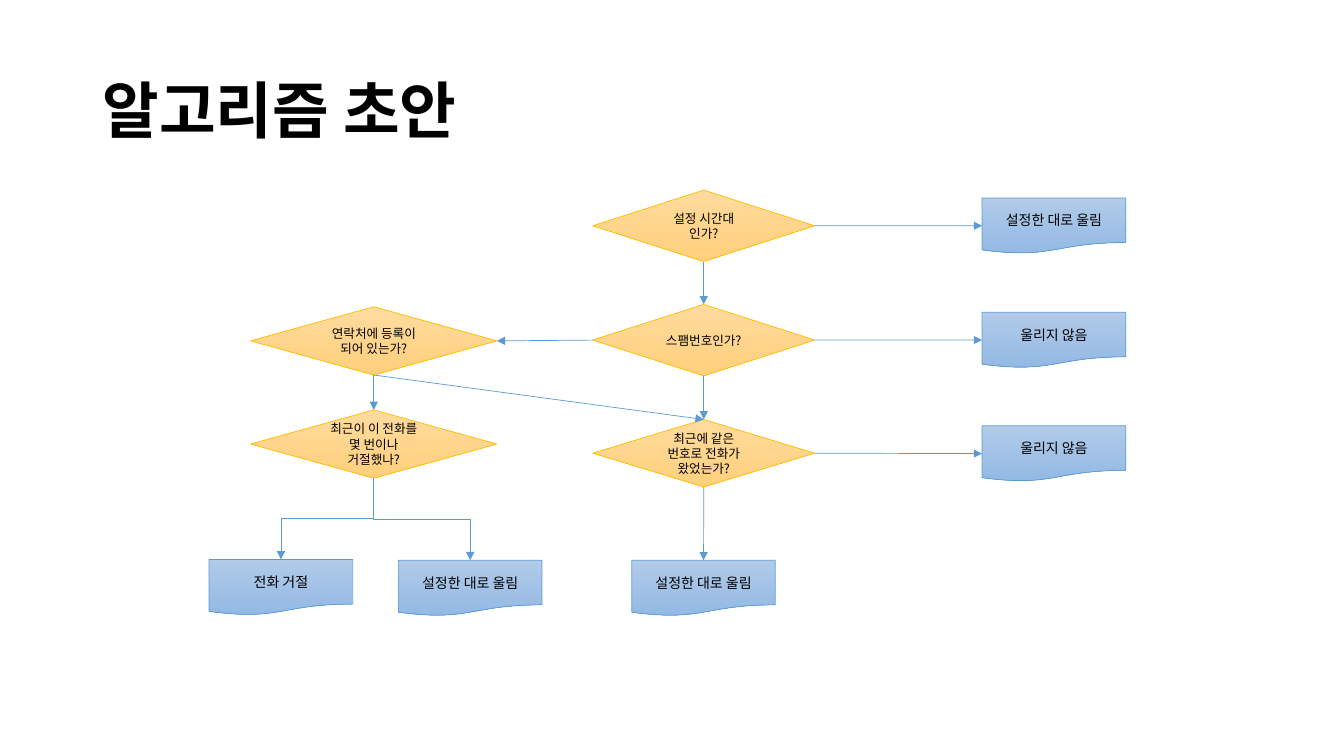
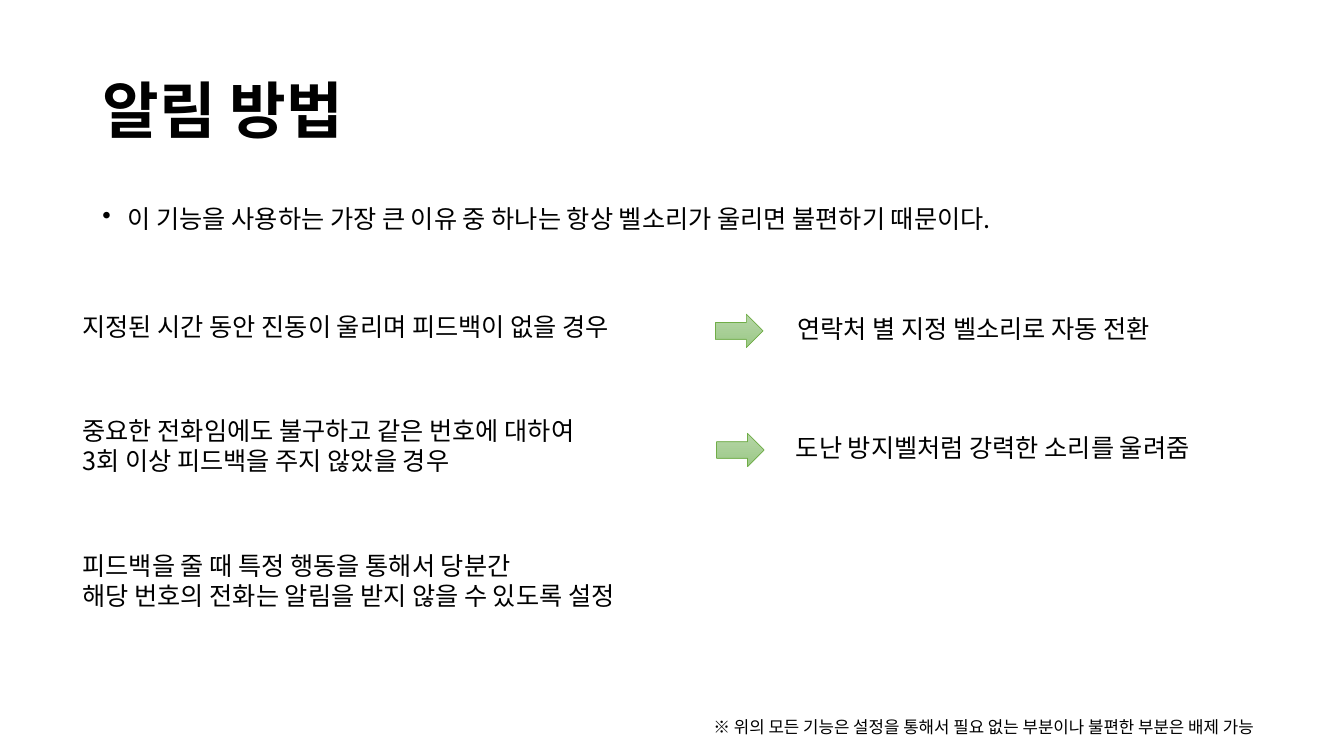
"""Build a call-screening flowchart slide and a notification-method slide."""
from lxml.etree import SubElement
from pptx import Presentation
from pptx.dml.color import RGBColor
from pptx.enum.shapes import MSO_CONNECTOR as Line, MSO_SHAPE as Preset
from pptx.enum.text import MSO_ANCHOR as Anchor, MSO_AUTO_SIZE as AutoSize, PP_ALIGN as Align
from pptx.oxml.ns import qn
from pptx.util import Cm, Pt

FONT = "Noto Sans CJK KR"
COLORS = {
    "text": "000000",
    "decision top": "FFDB9E", "decision bottom": "FFD07C", "decision line": "FFC000",
    "result top": "B1CBE9", "result bottom": "93B9E4", "result line": "5B9BD5",
    "arrow top": "B5D5A7", "arrow bottom": "9CC987", "arrow line": "70AD47",
}
RGB = {name: RGBColor.from_string(value) for name, value in COLORS.items()}
TOP, LEFT, BOTTOM, RIGHT = range(4)


def write(frame, text, size, align=Align.LEFT, bold=False):
    """Fill a text frame, one paragraph a line, in the shared font."""
    frame.text = text
    frame.word_wrap = True
    for paragraph in frame.paragraphs:
        paragraph.alignment = align
        font = paragraph.font
        font.name, font.size, font.bold = FONT, Pt(size), bold
        font.color.rgb = RGB["text"]
        properties = paragraph._p.pPr.find(qn("a:defRPr"))
        SubElement(properties, qn("a:ea"), typeface=FONT)


def add_block(slide, preset, role, left, top, width, height):
    """Add a preset shape with the vertical gradient and outline of its role."""
    shape = slide.shapes.add_shape(preset, Cm(left), Cm(top), Cm(width), Cm(height))
    shape.shadow.inherit = False
    shape.fill.gradient()
    shape.fill.gradient_angle = 270
    for stop, edge in zip(shape.fill.gradient_stops, ("top", "bottom")):
        stop.color.rgb = RGB[f"{role} {edge}"]
    shape.line.color.rgb = RGB[f"{role} line"]
    shape.line.width = Pt(0.5)
    return shape


presentation = Presentation()
presentation.slide_width, presentation.slide_height = Cm(33.87), Cm(19.05)
title_only = presentation.slide_layouts[5]

slides = []
for heading in ("알고리즘 초안", "알림 방법"):
    slide = presentation.slides.add_slide(title_only)
    title = slide.shapes.title
    title.left, title.top, title.width, title.height = Cm(2.33), Cm(1.02), Cm(29.21), Cm(3.68)
    write(title.text_frame, heading, 44, bold=True)
    title.text_frame.auto_size = AutoSize.NONE
    title.text_frame.vertical_anchor = Anchor.MIDDLE
    title.text_frame.paragraphs[0].line_spacing = 0.9
    slides.append(slide)
flow_slide, method_slide = slides

decisions = {
    "time": (14.94, 4.79, 5.59, 1.8, "설정 시간대\n인가?"),
    "spam": (14.94, 7.67, 5.59, 1.8, "스팸번호인가?"),
    "repeat": (14.94, 10.57, 5.59, 1.7, "최근에 같은\n번호로 전화가\n왔었는가?"),
    "contact": (6.32, 7.73, 6.2, 1.72, "연락처에 등록이 되어 있는가?"),
    "rejected": (6.32, 10.33, 6.2, 1.72, "최근이 이 전화를\n몇 번이나\n거절했나?"),
}
results = {
    "ring in time": (24.75, 4.99, "설정한 대로 울림"),
    "mute spam": (24.75, 7.87, "울리지 않음"),
    "mute repeat": (24.75, 10.73, "울리지 않음"),
    "ring once": (15.92, 14.12, "설정한 대로 울림"),
    "reject": (5.27, 14.1, "전화 거절"),
    "ring contact": (10.04, 14.12, "설정한 대로 울림"),
}
nodes = {}
for name, (left, top, width, height, text) in decisions.items():
    nodes[name] = add_block(flow_slide, Preset.FLOWCHART_DECISION, "decision", left, top, width, height)
    write(nodes[name].text_frame, text, 9, Align.CENTER)
for name, (left, top, text) in results.items():
    nodes[name] = add_block(flow_slide, Preset.FLOWCHART_DOCUMENT, "result", left, top, 3.62, 1.4)
    write(nodes[name].text_frame, text, 10, Align.CENTER)

links = [
    ("time", BOTTOM, "spam", TOP, Line.STRAIGHT),
    ("spam", BOTTOM, "repeat", TOP, Line.STRAIGHT),
    ("spam", LEFT, "contact", RIGHT, Line.STRAIGHT),
    ("contact", BOTTOM, "rejected", TOP, Line.STRAIGHT),
    ("contact", BOTTOM, "repeat", TOP, Line.STRAIGHT),
    ("time", RIGHT, "ring in time", LEFT, Line.STRAIGHT),
    ("spam", RIGHT, "mute spam", LEFT, Line.STRAIGHT),
    ("repeat", RIGHT, "mute repeat", LEFT, Line.STRAIGHT),
    ("repeat", BOTTOM, "ring once", TOP, Line.STRAIGHT),
    ("rejected", BOTTOM, "reject", TOP, Line.ELBOW),
    ("rejected", BOTTOM, "ring contact", TOP, Line.ELBOW),
]
for source, source_site, target, target_site, kind in links:
    connector = flow_slide.shapes.add_connector(kind, 0, 0, 0, 0)
    connector.begin_connect(nodes[source], source_site)
    connector.end_connect(nodes[target], target_site)
    connector.line.color.rgb = RGB["result line"]
    connector.line.width = Pt(0.5)
    properties = connector._element.spPr
    SubElement(properties.find(qn("a:ln")), qn("a:tailEnd"), type="triangle")
    SubElement(properties, qn("a:effectLst"))
    if kind == Line.ELBOW:
        goes_right = connector.end_x > connector.begin_x
        across, down = connector.width, connector.height
        shift = (across - down) // 2
        connector.left, connector.top = connector.left + shift, connector.top - shift
        connector.width, connector.height = down, across
        transform = properties.find(qn("a:xfrm"))
        transform.set("rot", str((270 if goes_right else 90) * 60000))
        transform.set("flipH", "1" if goes_right else "0")

texts = [
    (2.33, 5.08, 29.21, 1.45, 18, "이 기능을 사용하는 가장 큰 이유 중 하나는 항상 벨소리가 울리면 불편하기 때문이다."),
    (1.83, 7.72, 16.61, 1.02, 18, "지정된 시간 동안 진동이 울리며 피드백이 없을 경우"),
    (1.83, 10.34, 16.61, 1.8, 18, "중요한 전화임에도 불구하고 같은 번호에 대하여\n3회 이상 피드백을 주지 않았을 경우"),
    (1.83, 13.74, 16.61, 1.8, 18, "피드백을 줄 때 특정 행동을 통해서 당분간\n해당 번호의 전화는 알림을 받지 않을 수 있도록 설정"),
    (19.84, 7.77, 10.62, 1.02, 18, "연락처 별 지정 벨소리로 자동 전환"),
    (19.81, 10.77, 12.34, 1.02, 18, "도난 방지벨처럼 강력한 소리를 울려줌"),
    (17.73, 17.93, 15.8, 0.76, 12, "※ 위의 모든 기능은 설정을 통해서 필요 없는 부분이나 불편한 부분은 배제 가능"),
]
boxes = []
for left, top, width, height, size, text in texts:
    box = method_slide.shapes.add_textbox(Cm(left), Cm(top), Cm(width), Cm(height))
    write(box.text_frame, text, size)
    boxes.append(box)

reason = boxes[0].text_frame.paragraphs[0]
reason.line_spacing, reason.space_before = 0.9, Pt(10)
properties = reason._p.pPr
properties.set("marL", str(Cm(0.64)))
properties.set("indent", str(-Cm(0.64)))
bullet = SubElement(properties, qn("a:buChar"), char="•")
properties.find(qn("a:defRPr")).addprevious(bullet)

for left, top in ((18.03, 7.92), (18.06, 10.92)):
    add_block(method_slide, Preset.RIGHT_ARROW, "arrow", left, top, 1.2, 0.84)

presentation.save("out.pptx")
